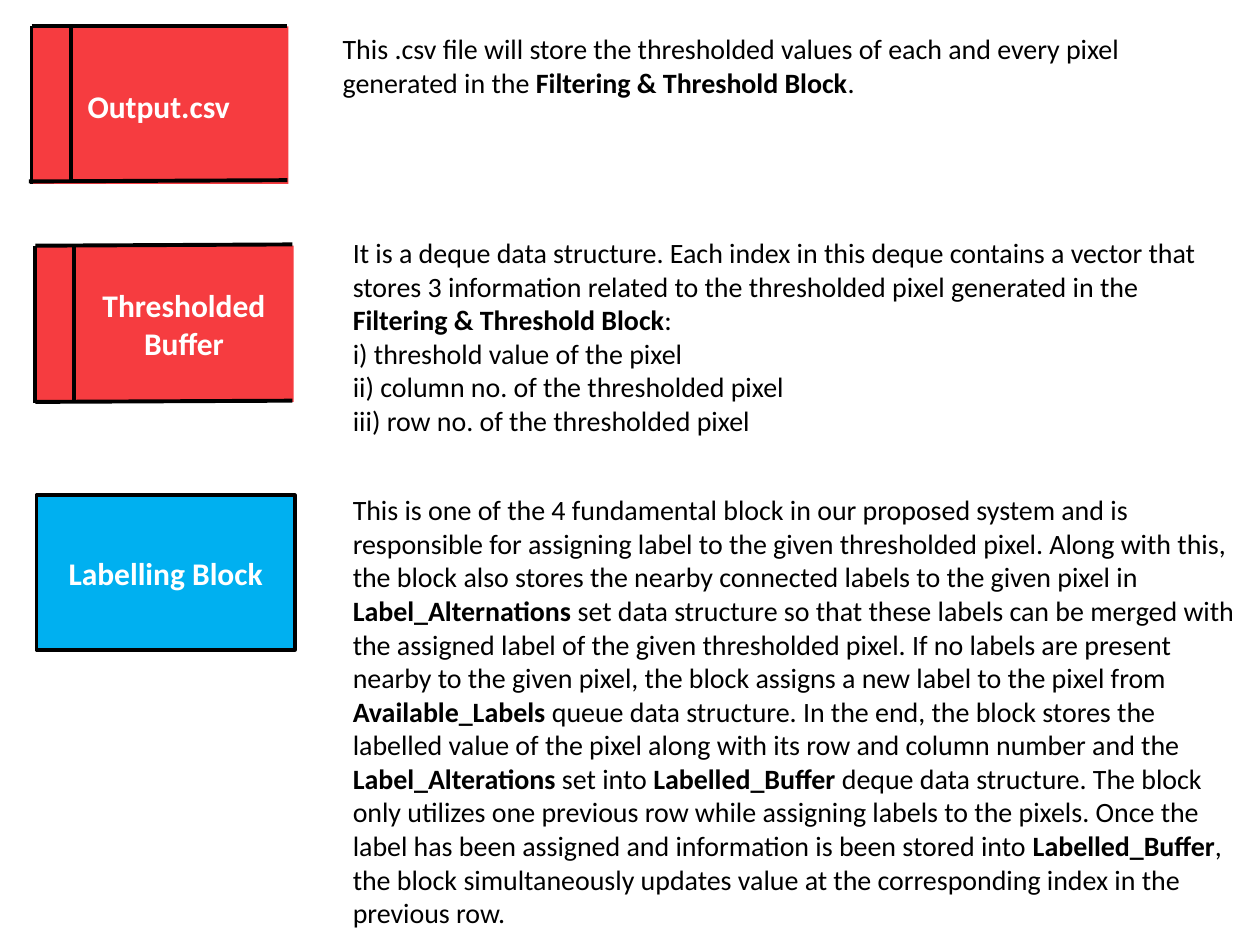
from lxml.etree import SubElement
from pptx import Presentation
from pptx.dml.color import RGBColor
from pptx.enum.shapes import MSO_CONNECTOR, MSO_SHAPE
from pptx.enum.text import MSO_ANCHOR, PP_ALIGN
from pptx.oxml.ns import qn
from pptx.util import Inches, Pt

RED = RGBColor(0xF6, 0x3C, 0x40)
BLUE = RGBColor(0x00, 0xB0, 0xF0)
BLACK = RGBColor(0, 0, 0)
WHITE = RGBColor(255, 255, 255)

BODY = {"name": "Calibri", "size": Pt(16), "bold": False}
LABEL = {"name": "Calibri", "size": Pt(18), "bold": True}

CSV_TEXT = [[
    "This .csv file will store the thresholded values of each and every pixel generated in the",
    " Filtering & Threshold Block", ".",
]]
BUFFER_TEXT = [
    ["It is a deque data structure. Each index in this deque contains a vector that stores 3 "
     "information related to the thresholded pixel generated in the ",
     "Filtering & Threshold Block", ":"],
    ["i) threshold value of the pixel"],
    ["ii) column no. of the thresholded pixel"],
    ["iii) row no. of the thresholded pixel"],
]
LABELLING_TEXT = [[
    "This is one of the 4 fundamental block in our proposed system and is responsible for "
    "assigning label to the given thresholded pixel. Along with this, the block also stores the "
    "nearby connected labels to the given pixel in ",
    "Label_Alternations",
    " set data structure so that these labels can be merged with the assigned label of the given "
    "thresholded pixel. If no labels are present nearby to the given pixel, the block assigns a "
    "new label to the pixel from ",
    "Available_Labels",
    " queue data structure. In the end, the block stores the labelled value of the pixel along "
    "with its row and column number and the ",
    "Label_Alterations", " set into ", "Labelled_Buffer ",
    "deque data structure. The block only utilizes one previous row while assigning labels to "
    "the pixels. Once the label has been assigned and information is been stored into ",
    "Labelled_Buffer",
    ", the block simultaneously updates value at the corresponding index in the previous row.",
]]


def add_run(paragraph, text, style, color):
    """Append a run with the given font style and colour."""
    run = paragraph.add_run()
    run.text = text
    for name, value in style.items():
        setattr(run.font, name, value)
    run.font.color.rgb = color


def set_frame(shape, side, edge, **settings):
    """Set wrapping, margins and further settings of a text frame."""
    frame = shape.text_frame
    margins = {"margin_left": side, "margin_right": side,
               "margin_top": edge, "margin_bottom": edge}
    for name, value in margins.items():
        setattr(frame, name, Inches(value))
    for name, value in {"word_wrap": True, **settings}.items():
        setattr(frame, name, value)
    return frame


def add_description(slide, box, paragraphs):
    """Add body text whose runs alternate between regular and bold."""
    frame = set_frame(slide.shapes.add_textbox(*map(Inches, box)), 0.08, 0.04)
    for index, texts in enumerate(paragraphs):
        paragraph = frame.add_paragraph() if index else frame.paragraphs[0]
        for position, text in enumerate(texts):
            add_run(paragraph, text, {**BODY, "bold": position % 2 == 1}, BLACK)


def add_label(shape, text, **settings):
    """Write a centred white label into a shape."""
    paragraph = set_frame(shape, 0.1, 0.05, **settings).paragraphs[0]
    paragraph.alignment = PP_ALIGN.CENTER
    add_run(paragraph, text, LABEL, WHITE)


def add_block(slide, box, fill):
    """Add a filled rectangle without an outline."""
    shape = slide.shapes.add_shape(MSO_SHAPE.RECTANGLE, *map(Inches, box))
    shape.shadow.inherit = False
    shape.fill.solid()
    shape.fill.fore_color.rgb = fill
    shape.line.fill.background()
    return shape


def add_rule(slide, start, end):
    """Add a straight black line."""
    points = map(Inches, (*start, *end))
    connector = slide.shapes.add_connector(MSO_CONNECTOR.STRAIGHT, *points)
    connector.line.color.rgb = BLACK
    connector.line.width = Pt(2.25)
    properties = connector._element.find(qn("p:spPr"))
    SubElement(properties, qn("a:effectLst"))


def add_data_store(slide, box, rules, label_box, text):
    """Add an open-ended data store with its rules and label."""
    add_block(slide, box, RED)
    for start, end in rules:
        add_rule(slide, start, end)
    add_label(slide.shapes.add_textbox(*map(Inches, label_box)), text)


def main():
    """Build the slide and save it."""
    presentation = Presentation()
    presentation.slide_width = Inches(10)
    presentation.slide_height = Inches(7.5)
    slide = presentation.slides.add_slide(presentation.slide_layouts[6])

    add_description(slide, (2.64, 0.21, 7.1, 0.62), CSV_TEXT)
    add_description(slide, (2.72, 1.83, 6.95, 2), BUFFER_TEXT)
    add_description(slide, (2.72, 3.87, 7.17, 3.59), LABELLING_TEXT)

    buffer_rules = [((0.59, 3.19), (0.59, 1.94)), ((0.28, 1.95), (2.32, 1.94)),
                    ((0.28, 3.19), (2.32, 3.18)), ((0.28, 3.2), (0.28, 1.95))]
    add_data_store(slide, (0.28, 1.95, 2.05, 1.24), buffer_rules,
                   (0.5, 2.22, 1.92, 0.71), "Thresholded Buffer")

    labelling = add_block(slide, (0.29, 3.93, 2.05, 1.23), BLUE)
    labelling.line.color.rgb = BLACK
    labelling.line.width = Pt(2)
    add_label(labelling, "Labelling Block", vertical_anchor=MSO_ANCHOR.MIDDLE)

    csv_rules = [((0.56, 1.45), (0.56, 0.21)), ((0.25, 0.21), (2.28, 0.21)),
                 ((0.23, 1.44), (2.28, 1.43)), ((0.25, 1.46), (0.25, 0.21))]
    add_data_store(slide, (0.25, 0.21, 2.04, 1.25), csv_rules,
                   (0.19, 0.64, 2.14, 0.4), "Output.csv")

    presentation.save("out.pptx")


if __name__ == "__main__":
    main()
